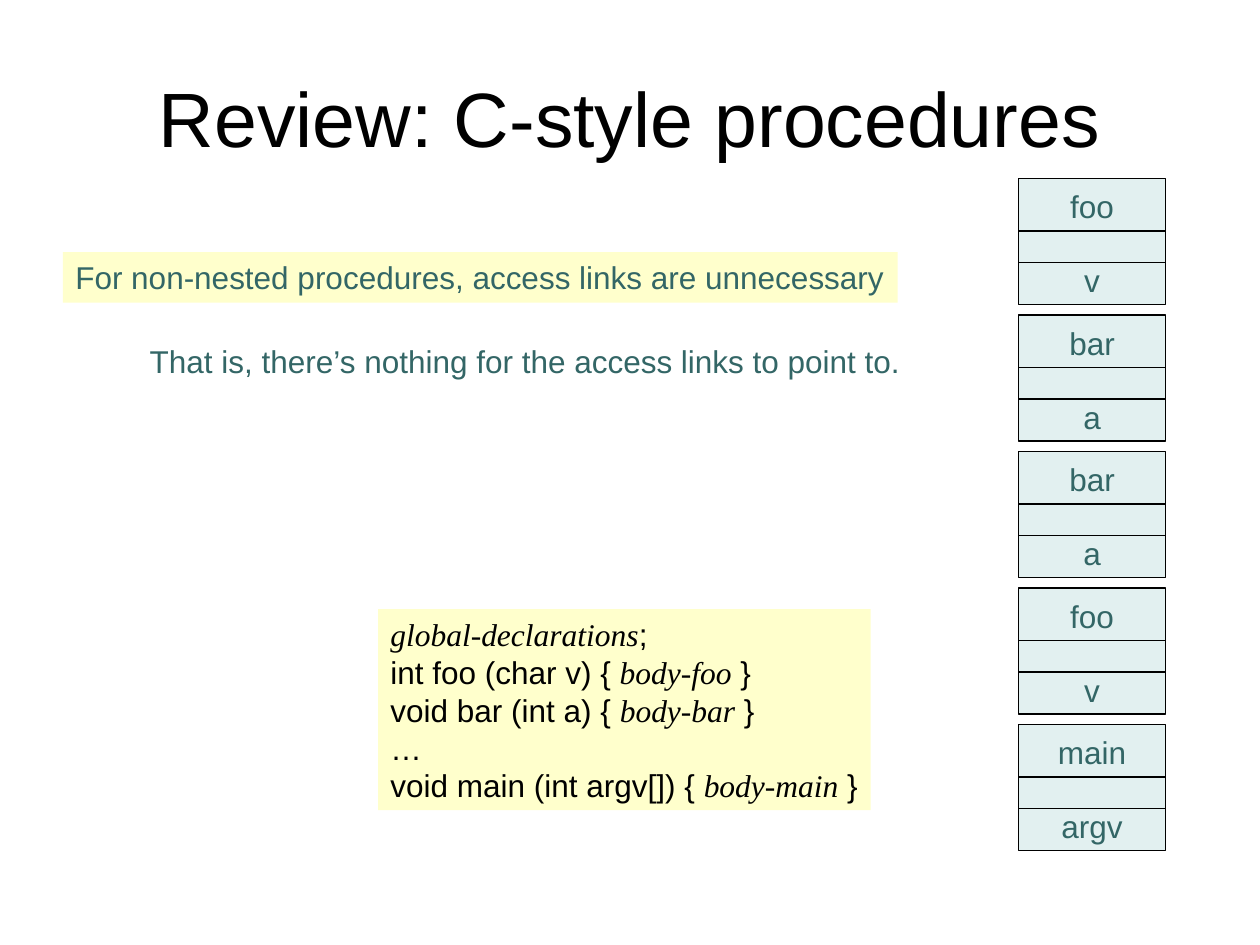
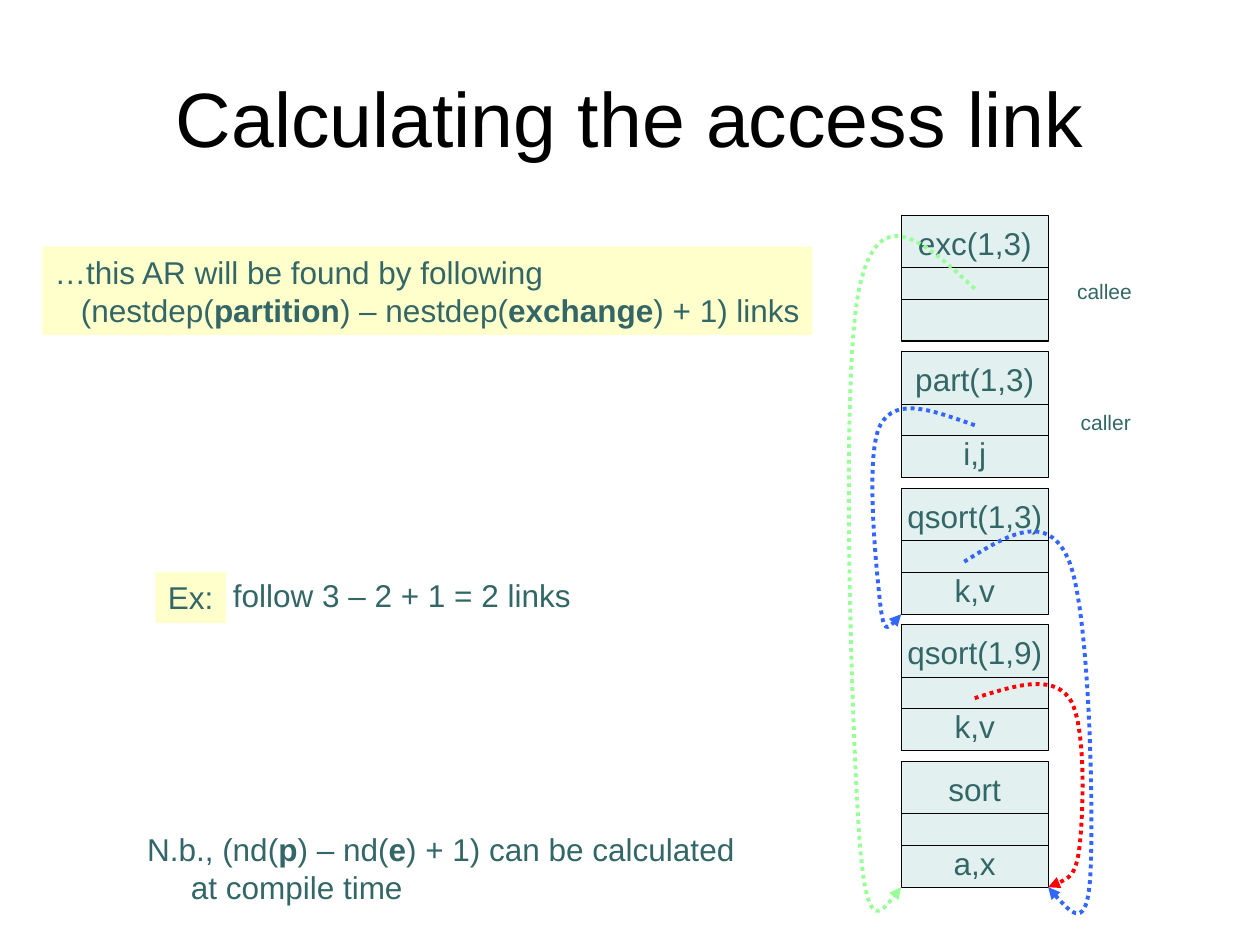
from lxml import etree
from pptx import Presentation
from pptx.dml.color import RGBColor
from pptx.enum.dml import MSO_LINE
from pptx.enum.shapes import MSO_CONNECTOR, MSO_SHAPE
from pptx.enum.text import MSO_ANCHOR, PP_ALIGN
from pptx.oxml.ns import qn
from pptx.util import Pt

RECTANGLE = MSO_SHAPE.RECTANGLE
STRAIGHT = MSO_CONNECTOR.STRAIGHT
DOTTED = MSO_LINE.ROUND_DOT
LEFT, CENTER = PP_ALIGN.LEFT, PP_ALIGN.CENTER
TOP, MIDDLE = MSO_ANCHOR.TOP, MSO_ANCHOR.MIDDLE

BLACK = RGBColor(0x00, 0x00, 0x00)
TEAL = RGBColor(0x33, 0x66, 0x66)
PALE_TEAL = RGBColor(0xE2, 0xF0, 0xF0)
PALE_YELLOW = RGBColor(0xFF, 0xFF, 0xCC)
RED = RGBColor(0xFF, 0x00, 0x00)
BLUE = RGBColor(0x33, 0x66, 0xFF)
GREEN = RGBColor(0x99, 0xFF, 0x99)

RECORD_WIDTH, RECORD_HEIGHT, RECORD_PITCH = 84, 72, 78
DIVIDERS = (30, 48)  # edges of the access link slot
LINE_HEIGHT = 20.7


def add_text(slide, left, top, width, height, lines, size=18, color=TEAL, fill=None,
             line=None, align=LEFT, anchor=TOP, wrap=False, inset=3.6, gap=0,
             indent=0, italic_serif=False):
    """Add a box of lines; parts between asterisks are bold, or italic serif.

    gap and indent apply to every line after the first.
    """
    box = slide.shapes.add_shape(RECTANGLE, Pt(left), Pt(top), Pt(width), Pt(height))
    box.shadow.inherit = False
    for part, paint in ((box.fill, fill), (box.line.fill, line)):
        if paint is None:
            part.background()
        else:
            part.solid()
            part.fore_color.rgb = paint
    if line is not None:
        box.line.width = Pt(0.75)
    frame = box.text_frame
    frame.word_wrap = wrap
    frame.vertical_anchor = anchor
    frame.margin_left = frame.margin_right = Pt(7.2)
    frame.margin_top = frame.margin_bottom = Pt(inset)
    for row, text in enumerate(lines):
        paragraph = frame.add_paragraph() if row else frame.paragraphs[0]
        paragraph.alignment = align
        if row and gap:
            paragraph.space_before = Pt(gap)
        if row and indent:
            paragraph._p.get_or_add_pPr().set("marL", str(Pt(indent)))
        for i, piece in enumerate(text.split("*")):
            if not piece:
                continue
            marked = i % 2 == 1
            run = paragraph.add_run()
            run.text = piece
            run.font.size = Pt(size)
            run.font.color.rgb = color
            run.font.name = "Times New Roman" if marked and italic_serif else "Arial"
            run.font.italic = marked and italic_serif
            run.font.bold = marked and not italic_serif


def add_call_stack(slide, left, top, records):
    """Draw activation records downwards, each given as its name and variables."""
    for i, record in enumerate(records):
        record_top = top + i * RECORD_PITCH
        add_text(slide, left, record_top, RECORD_WIDTH, RECORD_HEIGHT, record,
                 fill=PALE_TEAL, line=BLACK, align=CENTER, inset=4.95, gap=LINE_HEIGHT)
        for offset in DIVIDERS:
            y = Pt(record_top + offset)
            divider = slide.shapes.add_connector(
                STRAIGHT, Pt(left), y, Pt(left + RECORD_WIDTH), y)
            divider.line.color.rgb = BLACK
            divider.line.width = Pt(0.75)
            etree.SubElement(divider._element.spPr, qn("a:effectLst"))


prs = Presentation()
prs.slide_width, prs.slide_height = Pt(720), Pt(540)
slides = []
for title in ("Review: C-style procedures", "Calculating the access link"):
    slide = prs.slides.add_slide(prs.slide_layouts[6])
    add_text(slide, 36, 21.6, 648, 90, [title], size=44, color=BLACK,
             align=CENTER, anchor=MIDDLE, wrap=True)
    slides.append(slide)
review, calculation = slides

# Slide 1: procedures without nesting
add_call_stack(review, 582, 102, [
    ("foo", "v"), ("bar", "a"), ("bar", "a"), ("foo", "v"), ("main", "argv")])
add_text(review, 36, 144, 477, 29,
         ["For non-nested procedures, access links are unnecessary"], fill=PALE_YELLOW)
add_text(review, 216, 348, 281.5, 115, [
    "*global-declarations*;",
    "int foo (char v) { *body-foo* }",
    "void bar (int a) { *body-bar* }",
    "…",
    "void main (int argv[]) { *body-main* }",
], color=BLACK, fill=PALE_YELLOW, italic_serif=True)
add_text(review, 78.5, 192, 443.5, 29,
         ["That is, there’s nothing for the access links to point to."])

# Slide 2: following access links
add_text(calculation, 24.2, 141, 440, 50.4, [
    "…this AR will be found by following",
    "(nestdep(*partition*) – nestdep(*exchange*) + 1) links",
], fill=PALE_YELLOW, indent=15)
add_call_stack(calculation, 515, 123, [
    ("exc(1,3)",), ("part(1,3)", "i,j"), ("qsort(1,3)", "k,v"),
    ("qsort(1,9)", "k,v"), ("sort", "a,x")])

# Each link is a start point followed by Bézier triples
access_links = [
    (RED, [(557, 399), (579, 392), (601, 385), (611, 399), (621, 413),
           (619, 465), (617, 483), (615, 501), (607, 504), (599, 507)]),
    (BLUE, [(551, 321), (575, 306), (599, 291), (611, 321), (623, 351),
            (625, 470), (623, 501), (621, 532), (610, 520), (599, 507)]),
    (BLUE, [(557, 243), (534, 235), (512, 226), (503, 243), (494, 260),
            (501, 327), (503, 345), (505, 363), (510, 357), (515, 351)]),
    (GREEN, [(557, 165), (529, 139), (502, 113), (491, 165), (480, 217),
             (487, 420), (491, 477), (495, 534), (505, 520), (515, 507)]),
]
for color, points in access_links:
    start, *rest = [(Pt(x), Pt(y)) for x, y in points]
    builder = calculation.shapes.build_freeform(*start)
    builder.add_line_segments(rest, close=False)
    link = builder.convert_to_shape()
    link.shadow.inherit = False
    link.fill.background()
    link.line.color.rgb = color
    link.line.width = Pt(2.25)
    link.line.dash_style = DOTTED
    properties = link._element.spPr
    etree.SubElement(properties.find(qn("a:ln")), qn("a:tailEnd"), type="triangle")
    outline = properties.find(".//" + qn("a:path"))
    segments = outline.findall(qn("a:lnTo"))
    for i in range(0, len(segments), 3):
        curve = etree.SubElement(outline, qn("a:cubicBezTo"))
        for segment in segments[i:i + 3]:
            curve.append(segment[0])
            outline.remove(segment)

add_text(calculation, 88.8, 327, 40.4, 29, ["Ex:"], fill=PALE_YELLOW)
add_text(calculation, 126, 325.4, 207.4, 29, ["follow 3 – 2 + 1 = 2 links"])
add_text(calculation, 610.5, 230.5, 43.2, 21.6, ["caller"], size=12)
add_text(calculation, 608.4, 155.5, 45.4, 21.6, ["callee"], size=12)
add_text(calculation, 77, 471, 355, 50.4, [
    "N.b., (nd(*p*) – nd(*e*) + 1) can be calculated",
    "at compile time",
], indent=25)

prs.save("out.pptx")
